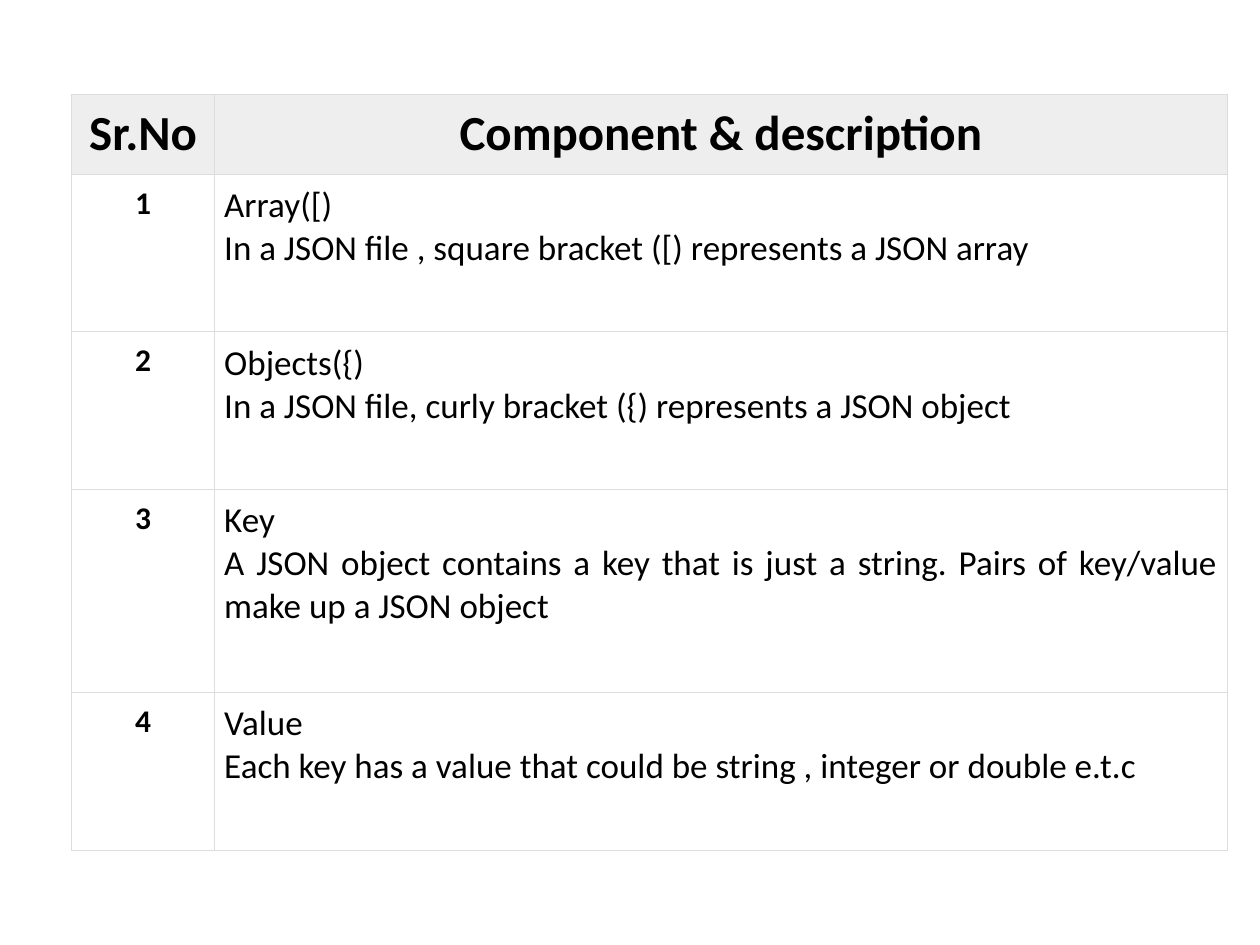
from lxml import etree
from pptx import Presentation
from pptx.dml.color import RGBColor
from pptx.enum import text
from pptx.oxml import ns
from pptx.util import Cm, Pt

BLACK = RGBColor(0x00, 0x00, 0x00)
WHITE = RGBColor(0xFF, 0xFF, 0xFF)
HEADER_GREY = RGBColor(0xEE, 0xEE, 0xEE)
BORDER_GREY = RGBColor(0xDD, 0xDD, 0xDD)

FONT = "Calibri"
CENTER = text.PP_ALIGN.CENTER
JUSTIFY = text.PP_ALIGN.JUSTIFY

COLUMN_WIDTHS = (2.87, 20.42)
ROW_HEIGHTS = (1.61, 3.18, 3.18, 4.09, 3.18)
HEADERS = ("Sr.No", "Component & description")
COMPONENTS = (
    ("Array([)", "In a JSON file , square bracket ([) represents a JSON array"),
    ("Objects({)", "In a JSON file, curly bracket ({) represents a JSON object"),
    ("Key", "A JSON object contains a key that is just a string. "
            "Pairs of key/value make up a JSON object"),
    ("Value", "Each key has a value that could be string , integer or double e.t.c"),
)


def set_borders(cell):
    tcPr = cell._tc.get_or_add_tcPr()
    for i, side in enumerate(("lnL", "lnR", "lnT", "lnB")):
        ln = etree.Element(ns.qn(f"a:{side}"), w=str(Pt(0.75)))
        fill = etree.SubElement(ln, ns.qn("a:solidFill"))
        etree.SubElement(fill, ns.qn("a:srgbClr"), val=str(BORDER_GREY))
        tcPr.insert(i, ln)


def fill_cell(cell, lines, size, bold, align, fill=WHITE):
    cell.margin_left = cell.margin_right = Cm(0.2)
    cell.margin_top = cell.margin_bottom = Cm(0.2)
    cell.fill.solid()
    cell.fill.fore_color.rgb = fill
    set_borders(cell)
    tf = cell.text_frame
    tf.text = "\n".join(lines)
    for p in tf.paragraphs:
        p.alignment = align
        p.font.name = FONT
        p.font.size = Pt(size)
        p.font.bold = bold
        p.font.color.rgb = BLACK


def add_component_table(s):
    frame = s.shapes.add_table(
        len(ROW_HEIGHTS), len(COLUMN_WIDTHS), Cm(1.45), Cm(1.9),
        Cm(sum(COLUMN_WIDTHS)), Cm(sum(ROW_HEIGHTS)))
    table = frame.table
    table.horz_banding = False
    for column, width in zip(table.columns, COLUMN_WIDTHS):
        column.width = Cm(width)
    for row, height in zip(table.rows, ROW_HEIGHTS):
        row.height = Cm(height)
    for i, header in enumerate(HEADERS):
        fill_cell(table.cell(0, i), [header], 28, True, CENTER, HEADER_GREY)
    for number, lines in enumerate(COMPONENTS, 1):
        fill_cell(table.cell(number, 0), [str(number)], 18, True, CENTER)
        fill_cell(table.cell(number, 1), lines, 20, False, JUSTIFY)


def main():
    prs = Presentation()
    prs.slide_width = Cm(25.4)
    prs.slide_height = Cm(19.05)
    s = prs.slides.add_slide(prs.slide_layouts[6])
    add_component_table(s)
    prs.save("out.pptx")


main()
